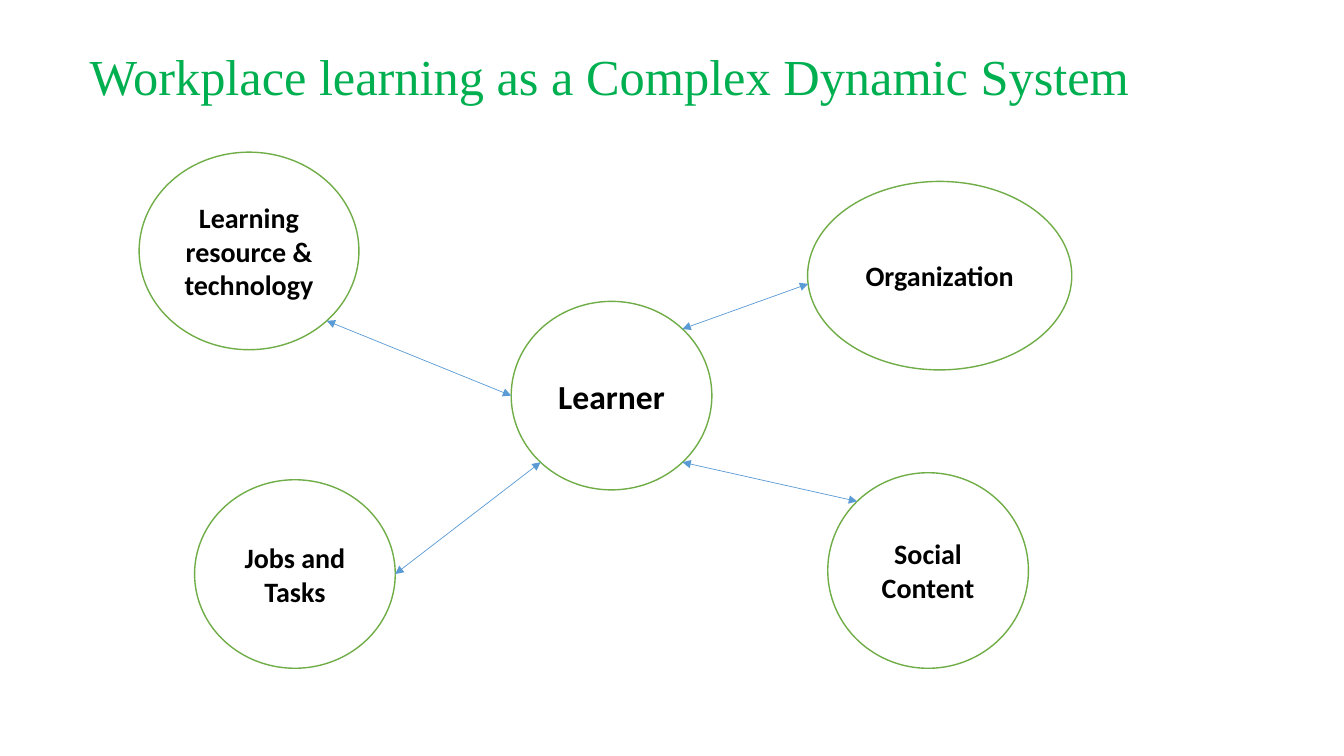
"""Build the slide on workplace learning as a complex dynamic system."""
from dataclasses import dataclass
from math import cos, radians, sin

from lxml import etree
from pptx import Presentation
from pptx.dml.color import RGBColor
from pptx.enum import shapes, text
from pptx.oxml import ns
from pptx.util import Inches, Pt

GREEN, BLUE, TITLE_GREEN = "70AD47", "5B9BD5", "00B050"
BLACK, WHITE = "000000", "FFFFFF"


@dataclass(frozen=True)
class Bubble:
    """A labelled ellipse, measured in inches."""
    label: str
    left: float
    top: float
    width: float
    height: float
    size: int = 20

    def rim(self, angle: float) -> tuple:
        """Return the rim point at an angle, clockwise in degrees from the right."""
        across = (1 + cos(radians(angle))) / 2
        down = (1 + sin(radians(angle))) / 2
        return (Inches(self.left + self.width * across),
                Inches(self.top + self.height * down))


@dataclass(frozen=True)
class Link:
    """A two-way arrow between the rims of two bubbles."""
    start: Bubble
    start_angle: float
    end: Bubble
    end_angle: float


def color(value: str) -> RGBColor:
    """Turn a hex string into a colour."""
    return RGBColor.from_string(value)


def write(box, words: str, shade: str, align, **font_format) -> None:
    """Put one vertically centred paragraph into a shape."""
    frame = box.text_frame
    frame.word_wrap = True
    frame.vertical_anchor = text.MSO_ANCHOR.MIDDLE
    para = frame.paragraphs[0]
    para.alignment = align
    span = para.add_run()
    span.text = words
    span.font.color.rgb = color(shade)
    for name, value in font_format.items():
        setattr(span.font, name, value)


def draw_title(page, words: str) -> None:
    """Draw the slide title."""
    box = page.shapes.add_textbox(Inches(0.79), Inches(0.06), Inches(11.5), Inches(1.45))
    write(box, words, TITLE_GREEN, text.PP_ALIGN.LEFT, size=Pt(36), name="Times New Roman")
    box.text_frame.paragraphs[0].line_spacing = 0.9


def draw_bubble(page, bubble: Bubble) -> None:
    """Draw an outlined ellipse with its label."""
    bounds = (bubble.left, bubble.top, bubble.width, bubble.height)
    oval = page.shapes.add_shape(shapes.MSO_SHAPE.OVAL, *map(Inches, bounds))
    oval.shadow.inherit = False
    oval.fill.solid()
    oval.fill.fore_color.rgb = color(WHITE)
    oval.line.color.rgb = color(GREEN)
    oval.line.width = Pt(1)
    write(oval, bubble.label, BLACK, text.PP_ALIGN.CENTER,
          size=Pt(bubble.size), name="Calibri", bold=True)


def draw_link(page, link: Link) -> None:
    """Draw a thin line with a triangle at both ends."""
    arrow = page.shapes.add_connector(
        shapes.MSO_CONNECTOR.STRAIGHT,
        *link.start.rim(link.start_angle), *link.end.rim(link.end_angle))
    arrow.line.color.rgb = color(BLUE)
    arrow.line.width = Pt(0.5)
    outline = arrow.line._get_or_add_ln()
    for end in ("a:headEnd", "a:tailEnd"):
        etree.SubElement(outline, ns.qn(end), type="triangle")
    etree.SubElement(arrow._element.spPr, ns.qn("a:effectLst"))


learner = Bubble("Learner", 5.07, 2.99, 1.99, 1.87, 24)
social = Bubble("Social Content", 8.21, 4.69, 1.99, 1.94)
jobs = Bubble("Jobs and Tasks", 1.93, 4.76, 1.99, 1.87)
resources = Bubble("Learning resource & technology", 1.38, 1.51, 2.18, 1.96)
organization = Bubble("Organization", 8.01, 1.8, 2.62, 1.87)
links = [
    Link(resources, 45, learner, 180),
    Link(learner, 315, organization, 175),
    Link(learner, 45, social, 225),
    Link(jobs, 0, learner, 135),
]

deck = Presentation()
deck.slide_width, deck.slide_height = Inches(13.33), Inches(7.5)
page = deck.slides.add_slide(deck.slide_layouts[6])
draw_title(page, "Workplace learning as a Complex Dynamic System")
for bubble in (learner, social, jobs, resources, organization):
    draw_bubble(page, bubble)
for link in links:
    draw_link(page, link)
deck.save("out.pptx")
